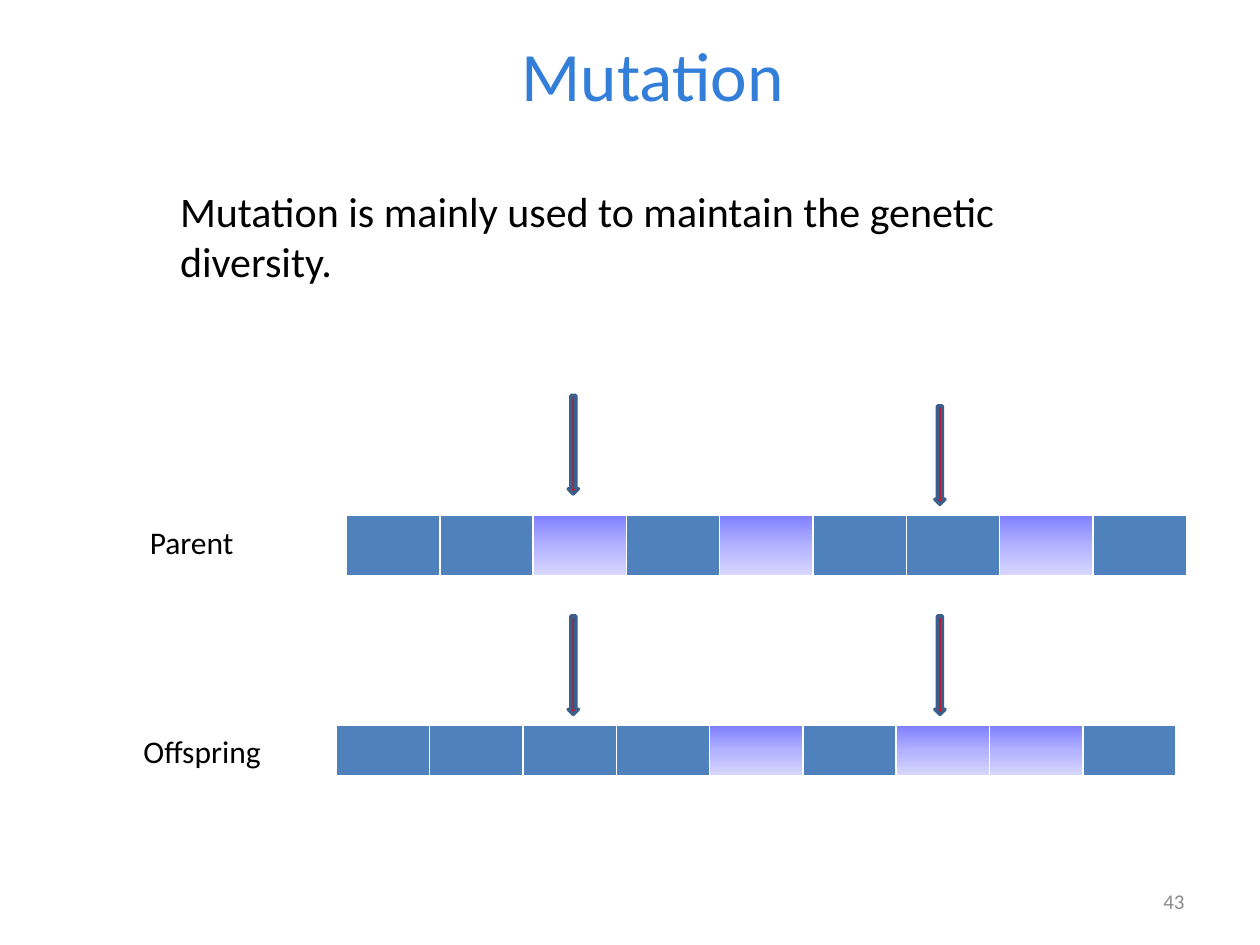
from pptx import Presentation
from pptx.dml.color import RGBColor
from pptx.enum.shapes import MSO_SHAPE as Shape
from pptx.enum.text import MSO_ANCHOR as Anchor, PP_ALIGN as Align
from pptx.oxml import parse_xml
from pptx.oxml.ns import nsdecls
from pptx.util import Pt

# Content: G marks a gradient gene, S a solid one
TITLE = "Mutation"
STATEMENT = "Mutation is mainly used to maintain the genetic diversity. "
PAGE_NUMBER = "43"
CHROMOSOMES = [  # genes, left, top, height
    ("SSGSGSSGS", 198, 294.5, 35.4),
    ("SSSSGSGGS", 192.2, 414.7, 29.5),
]
ARROWS = [(324.7, 226), (534.2, 232), (324.7, 352), (534.2, 352)]  # left, top
LABELS = [  # text, left, top, width, height, size, wrap
    ("Parent", 78.5, 295.2, 101.5, 28.8, 18, True),
    ("Offspring ", 74.9, 414.7, 92.9, 28.8, 18, False),
    (STATEMENT, 95.8, 102.2, 566.6, 36.7, 24, True),
]

FONT = "Calibri"
TITLE_BLUE = RGBColor(0x33, 0x7E, 0xD9)
GENE_BLUE = RGBColor(0x4F, 0x81, 0xBD)
ARROW_RED = RGBColor(0xFF, 0, 0)
ARROW_EDGE = RGBColor(0x3A, 0x5F, 0x8C)
BLACK = RGBColor(0, 0, 0)
GREY = RGBColor(0x8C, 0x8C, 0x8C)
WHITE = RGBColor(0xFF, 0xFF, 0xFF)
GRADIENT = [(0, RGBColor(0x80, 0x80, 0xFF)), (50, RGBColor(0xB3, 0xB3, 0xFF)),
            (100, RGBColor(0xDA, 0xDA, 0xFF))]
BORDERS = [("lnL", 1), ("lnR", 1), ("lnT", 1), ("lnB", 3)]
GENE_WIDTH = 53.33


def style(para, size, color, align=Align.LEFT):
    para.alignment = align
    para.font.name = FONT
    para.font.size = Pt(size)
    para.font.color.rgb = color


def add_text(text, left, top, width, height, size, wrap=True,
             color=BLACK, align=Align.LEFT, anchor=Anchor.TOP):
    box = page.shapes.add_textbox(Pt(left), Pt(top), Pt(width), Pt(height))
    frame = box.text_frame
    frame.word_wrap = wrap
    frame.vertical_anchor = anchor
    frame.text = text
    style(frame.paragraphs[0], size, color, align)


def paint_gene(cell, kind):
    properties = cell._tc.get_or_add_tcPr()
    for side, width in BORDERS:
        properties.append(parse_xml(
            f'<a:{side} {nsdecls("a")} w="{Pt(width)}"><a:solidFill>'
            f'<a:srgbClr val="{WHITE}"/></a:solidFill></a:{side}>'))
    if kind == "S":
        cell.fill.solid()
        cell.fill.fore_color.rgb = GENE_BLUE
        return
    stops = "".join(f'<a:gs pos="{position * 1000}"><a:srgbClr val="{color}"/></a:gs>'
                    for position, color in GRADIENT)
    properties.append(parse_xml(
        f'<a:gradFill {nsdecls("a")} rotWithShape="1"><a:gsLst>{stops}</a:gsLst>'
        '<a:lin ang="5400000" scaled="0"/></a:gradFill>'))


deck = Presentation()
deck.slide_width, deck.slide_height = Pt(720), Pt(540)
page = deck.slides.add_slide(deck.slide_layouts[5])

# Title
title = page.shapes.title
title.left, title.top, title.width, title.height = Pt(77.8), Pt(18), Pt(590.4), Pt(48.2)
title.text_frame.text = TITLE
title.text_frame.vertical_anchor = Anchor.MIDDLE
style(title.text_frame.paragraphs[0], 39.6, TITLE_BLUE, Align.CENTER)

# Chromosomes
for genes, left, top, height in CHROMOSOMES:
    table = page.shapes.add_table(1, len(genes), Pt(left), Pt(top),
                                  Pt(GENE_WIDTH * len(genes)), Pt(height)).table
    for column, kind in enumerate(genes):
        table.columns[column].width = Pt(GENE_WIDTH)
        paint_gene(table.cell(0, column), kind)

# Arrows over the mutated genes
for left, top in ARROWS:
    arrow = page.shapes.add_shape(Shape.DOWN_ARROW, Pt(left), Pt(top), Pt(5.8), Pt(56.2))
    arrow.shadow.inherit = False
    arrow.fill.solid()
    arrow.fill.fore_color.rgb = ARROW_RED
    arrow.line.color.rgb = ARROW_EDGE
    arrow.line.width = Pt(2)

# Labels, statement and page number
for label in LABELS:
    add_text(*label)
add_text(PAGE_NUMBER, 516.2, 500.4, 167.8, 28.8, 12,
         color=GREY, align=Align.RIGHT, anchor=Anchor.MIDDLE)

deck.save("out.pptx")
